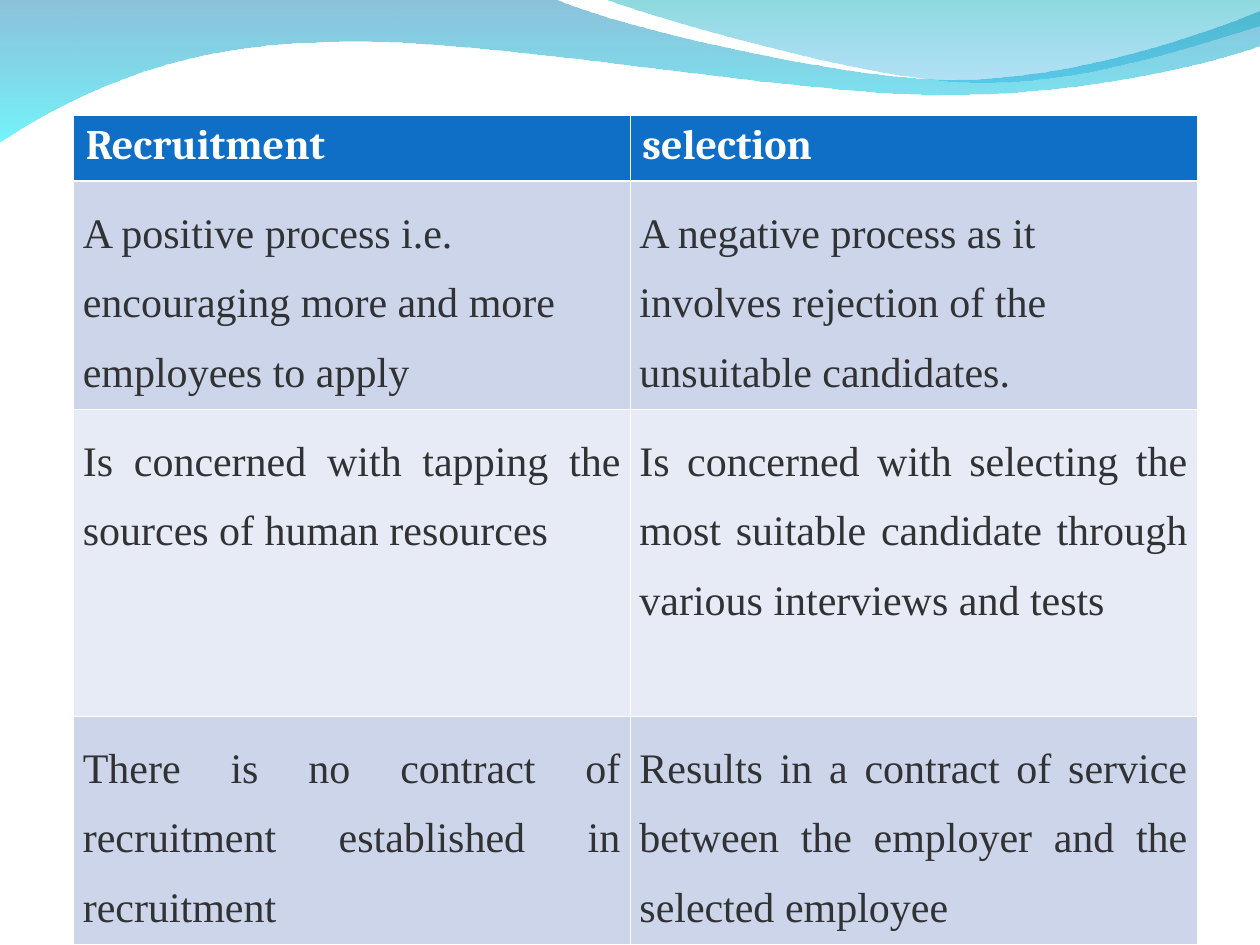
from lxml import etree
from pptx import Presentation
from pptx.dml.color import RGBColor
from pptx.enum.text import PP_ALIGN
from pptx.oxml.ns import qn
from pptx.util import Cm, Pt

LEFT, JUSTIFY = PP_ALIGN.LEFT, PP_ALIGN.JUSTIFY
WHITE = RGBColor(0xFF, 0xFF, 0xFF)
INK = RGBColor(0x31, 0x32, 0x34)
HEADER_BLUE = RGBColor(0x0F, 0x6F, 0xC6)
BAND_DARK = RGBColor(0xCC, 0xD5, 0xEA)
BAND_LIGHT = RGBColor(0xE7, 0xEB, 0xF5)
DEEP_BLUE = RGBColor(0x00, 0x79, 0xAF)
CYAN = RGBColor(0x00, 0xEB, 0xF8)
TEAL = RGBColor(0x00, 0xAD, 0xB6)
SKY = RGBColor(0x00, 0x9B, 0xE5)

ROWS = [
    ("Recruitment", "selection"),
    ("A positive process i.e. encouraging more and more employees to apply",
     "A negative process as it involves rejection of the unsuitable candidates."),
    ("Is concerned with tapping the sources of human resources",
     "Is concerned with selecting the most suitable candidate through various interviews and tests"),
    ("There is no contract of recruitment established in recruitment",
     "Results in a contract of service between the employer and the selected employee"),
]
ROW_HEIGHTS = [1.32, 4.6, 6.19, 4.6]
COLUMN_WIDTHS = [11.22, 11.43]
TABLE_LEFT, TABLE_TOP = 1.48, 2.33
THIN, THICK = 0.45, 1.47
TAB_COUNT, TAB_STEP = 8, 2.54

WAVES = [
    {"start": (0, -0.02),
     "segments": [
         [(11.18, -0.02)],
         [(12.09, 0.43), (16.87, 1.6), (19.25, 1.6)],
         [(21.67, 1.6), (24.33, 0.66), (25.4, 0.23)],
         [(25.43, 0.91)],
         [(24.97, 1.12), (22.1, 1.93), (18.95, 1.91)],
         [(15.8, 1.91), (9.7, 0.71), (6.53, 0.86)],
         [(3.28, 0.89), (1.17, 2.11), (-0.02, 2.87)],
         [(0, -0.02)],
     ],
     "stops": [(DEEP_BLUE, 45), (CYAN, 55)]},
    {"start": (12.17, -0.02),
     "segments": [
         [(12.93, 0.28), (17.32, 1.57), (19.53, 1.65)],
         [(21.74, 1.75), (24.41, 0.81), (25.4, 0.53)],
         [(25.4, 0)],
         [(12.17, -0.02)],
     ],
     "stops": [(TEAL, 45), (SKY, 30)]},
]


def round_segments(shape, segments):
    lines = iter(list(shape._element.iter(qn("a:lnTo"))))
    for segment in segments:
        group = [next(lines) for _ in segment]
        if len(group) == 3:
            curve = etree.Element(qn("a:cubicBezTo"))
            group[0].addprevious(curve)
            for line in group:
                curve.append(line[0])
                line.getparent().remove(line)


def add_wave(slide, start, segments, stops):
    points = [start] + [point for segment in segments for point in segment]
    outline = [(Cm(x), Cm(y)) for x, y in points]
    builder = slide.shapes.build_freeform(*outline[0])
    builder.add_line_segments(outline[1:], close=True)
    shape = builder.convert_to_shape()
    round_segments(shape, segments)
    shape.shadow.inherit = False
    shape.line.fill.background()
    shape.fill.gradient()
    shape.fill.gradient_angle = 270
    for stop, (color, _) in zip(shape.fill.gradient_stops, stops):
        stop.color.rgb = color
    for color_element, (_, opacity) in zip(shape._element.iter(qn("a:srgbClr")), stops):
        etree.SubElement(color_element, qn("a:alpha"), val=str(opacity * 1000))


def add_borders(cell, widths):
    properties = cell._tc.get_or_add_tcPr()
    for side, width in widths.items():
        line = etree.SubElement(properties, qn(f"a:ln{side}"), w=str(Pt(width)))
        fill = etree.SubElement(line, qn("a:solidFill"))
        etree.SubElement(fill, qn("a:srgbClr"), val=str(WHITE))


def add_tabs(paragraph):
    tabs = etree.SubElement(paragraph._p.get_or_add_pPr(), qn("a:tabLst"))
    for index in range(TAB_COUNT):
        etree.SubElement(tabs, qn("a:tab"), pos=str(Cm(index * TAB_STEP)), algn="l")


def format_cell(cell, text, row):
    header = row == 0
    add_borders(cell, {"L": THIN, "R": THIN,
                       "T": THICK if row == 1 else THIN,
                       "B": THICK if header else THIN})
    cell.fill.solid()
    cell.fill.fore_color.rgb = HEADER_BLUE if header else BAND_DARK if row % 2 else BAND_LIGHT
    cell.margin_left = cell.margin_right = Cm(0.25 if header else 0.19)
    cell.margin_top = cell.margin_bottom = Cm(0.13)
    cell.text_frame.text = text
    paragraph = cell.text_frame.paragraphs[0]
    paragraph.alignment = JUSTIFY if row > 1 else LEFT
    paragraph.line_spacing = 1.0 if header else 1.5
    add_tabs(paragraph)
    font = paragraph.runs[0].font
    font.name = "Cambria" if header else "Times New Roman"
    font.size = Pt(24)
    font.bold = header
    font.color.rgb = WHITE if header else INK


def add_comparison(slide):
    table = slide.shapes.add_table(
        len(ROWS), len(COLUMN_WIDTHS), Cm(TABLE_LEFT), Cm(TABLE_TOP),
        Cm(sum(COLUMN_WIDTHS)), Cm(sum(ROW_HEIGHTS))).table
    for column, width in zip(table.columns, COLUMN_WIDTHS):
        column.width = Cm(width)
    for row, (texts, height) in enumerate(zip(ROWS, ROW_HEIGHTS)):
        table.rows[row].height = Cm(height)
        for column, text in enumerate(texts):
            format_cell(table.cell(row, column), text, row)


def main():
    presentation = Presentation()
    presentation.slide_width, presentation.slide_height = Cm(25.4), Cm(19.05)
    slide = presentation.slides.add_slide(presentation.slide_layouts[6])
    for wave in WAVES:
        add_wave(slide, **wave)
    add_comparison(slide)
    presentation.save("out.pptx")


if __name__ == "__main__":
    main()
